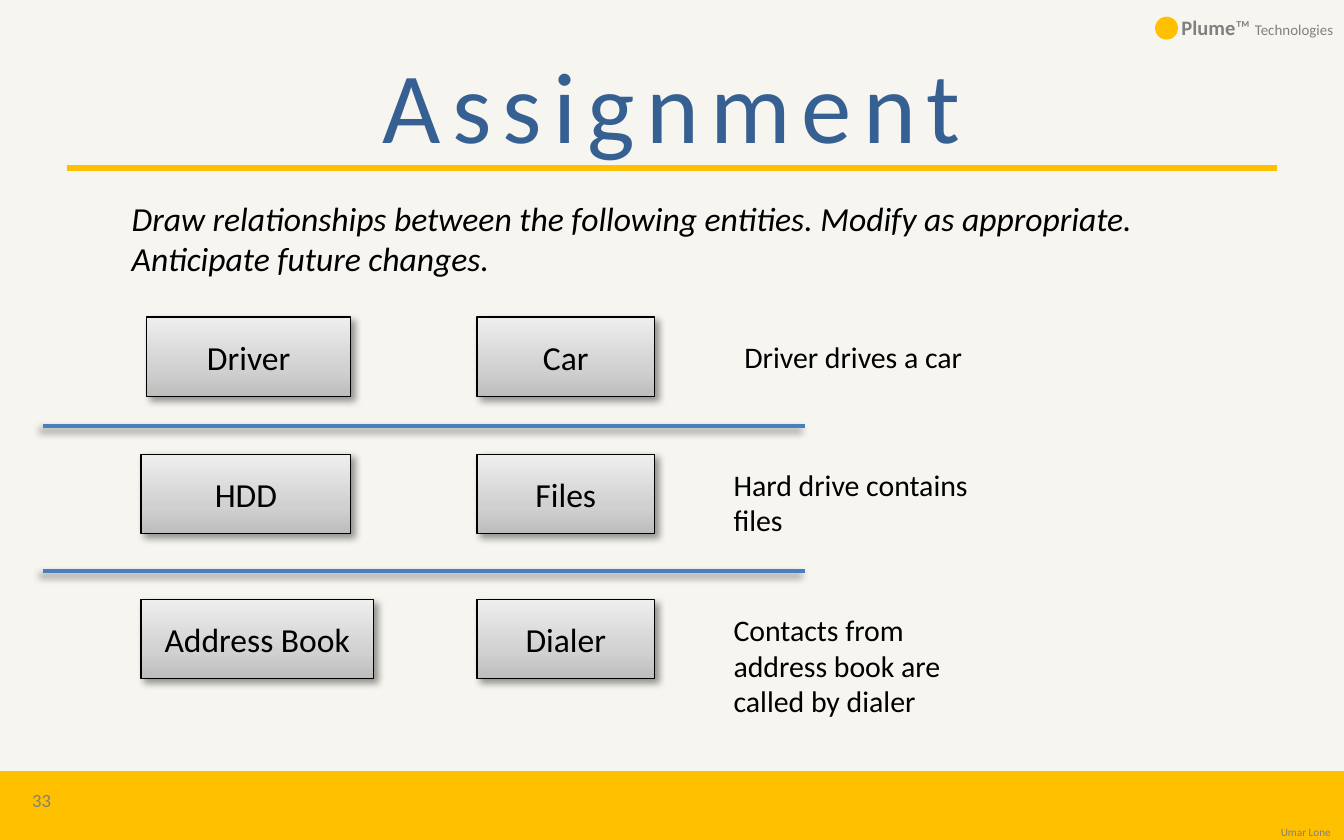
from lxml import etree
from pptx import Presentation
from pptx.dml.color import RGBColor
from pptx.enum.shapes import MSO_CONNECTOR, MSO_SHAPE
from pptx.enum.text import MSO_ANCHOR, MSO_AUTO_SIZE, PP_ALIGN
from pptx.oxml import parse_xml
from pptx.util import Inches, Pt

LEFT, CENTER, RIGHT = PP_ALIGN.LEFT, PP_ALIGN.CENTER, PP_ALIGN.RIGHT
TOP, MIDDLE, BOTTOM = MSO_ANCHOR.TOP, MSO_ANCHOR.MIDDLE, MSO_ANCHOR.BOTTOM
RECT, OVAL = MSO_SHAPE.RECTANGLE, MSO_SHAPE.OVAL
NO_AUTOFIT, STRAIGHT = MSO_AUTO_SIZE.NONE, MSO_CONNECTOR.STRAIGHT

CREAM = RGBColor(0xF6, 0xF5, 0xF0)
GOLD = RGBColor(0xFF, 0xC0, 0x00)
NAVY = RGBColor(0x37, 0x60, 0x92)
BLUE = RGBColor(0x4B, 0x7E, 0xBC)
GRAY = RGBColor(0x80, 0x80, 0x80)
BLACK = RGBColor(0x00, 0x00, 0x00)
GRADIENT = [
    (0, RGBColor(0xBD, 0xBD, 0xBD)),
    (35, RGBColor(0xD1, 0xD1, 0xD1)),
    (100, RGBColor(0xEE, 0xEE, 0xEE)),
]

FONT = "Calibri"
NS = "http://schemas.openxmlformats.org/drawingml/2006/main"
A = "{%s}" % NS

BOX_HEIGHT = 0.59
ENTITY_LEFT, TARGET_LEFT, TARGET_WIDTH = 1.05, 3.55, 1.32
ROWS = [
    (2.36, "Driver", 1.09, 1.52, "Car", "Driver drives a car", 5.44, 2.47, 0.37),
    (3.38, "HDD", ENTITY_LEFT, 1.56, "Files", "Hard drive contains files", 5.36, 3.42, 0.64),
    (4.46, "Address Book", ENTITY_LEFT, 1.73, "Dialer",
     "Contacts from address book are called by dialer", 5.36, 4.5, 0.91),
]


def inches(*values):
    return [Inches(v) for v in values]


def style(p, size, color, align=LEFT):
    p.alignment = align
    p.font.name = FONT
    p.font.size = Pt(size)
    p.font.color.rgb = color


def set_shadow(sp, angle=None):
    effects = etree.SubElement(sp._element.spPr, A + "effectLst")
    if angle is not None:
        effects.append(parse_xml(
            f'<a:outerShdw xmlns:a="{NS}" blurRad="{Pt(4)}" dist="{Pt(3)}" '
            f'dir="{angle * 60000}" algn="tl" rotWithShape="0">'
            '<a:srgbClr val="000000"><a:alpha val="40000"/></a:srgbClr></a:outerShdw>'))


def set_gradient(sp):
    stops = "".join(
        f'<a:gs pos="{pos * 1000}"><a:srgbClr val="{color}"/></a:gs>'
        for pos, color in GRADIENT)
    sp._element.spPr.find(A + "prstGeom").addnext(parse_xml(
        f'<a:gradFill xmlns:a="{NS}" rotWithShape="1"><a:gsLst>{stops}</a:gsLst>'
        '<a:lin ang="16200000" scaled="0"/></a:gradFill>'))


def add_plain_shape(s, kind, left, top, width, height, line_width):
    sp = s.shapes.add_shape(kind, *inches(left, top, width, height))
    sp.shadow.inherit = False
    sp.fill.solid()
    sp.fill.fore_color.rgb = GOLD
    sp.line.color.rgb = GOLD
    sp.line.width = Pt(line_width)


def add_entity(s, text, left, top, width):
    sp = s.shapes.add_shape(RECT, *inches(left, top, width, BOX_HEIGHT))
    set_gradient(sp)
    sp.line.color.rgb = BLACK
    sp.line.width = Pt(0.75)
    set_shadow(sp, 45)
    tf = sp.text_frame
    tf.vertical_anchor = MIDDLE
    tf.text = text
    style(tf.paragraphs[0], 18, BLACK, CENTER)


def add_rule(s, left, right, y, color, width, angle=None):
    line = s.shapes.add_connector(STRAIGHT, *inches(left, y, right, y))
    line.line.color.rgb = color
    line.line.width = Pt(width)
    set_shadow(line, angle)


def add_text(s, text, left, top, width, height, size, color, align=LEFT, anchor=TOP):
    tf = s.shapes.add_textbox(*inches(left, top, width, height)).text_frame
    tf.word_wrap = True
    tf.vertical_anchor = anchor
    p = tf.paragraphs[0]
    p.text = text
    style(p, size, color, align)
    return p


def fill_placeholder(sp, text, left, top, width, height, anchor, size, color, align):
    sp.left, sp.top, sp.width, sp.height = inches(left, top, width, height)
    tf = sp.text_frame
    tf.text = text
    tf.auto_size = NO_AUTOFIT
    tf.vertical_anchor = anchor
    p = tf.paragraphs[0]
    style(p, size, color, align)
    return p


def add_headings(s):
    p = fill_placeholder(s.shapes.title, "Assignment", 0.5, 0.25, 9, 1.04,
                         MIDDLE, 54, NAVY, CENTER)
    p.runs[0].font._element.set("spc", "600")
    p = fill_placeholder(
        s.placeholders[1],
        "Draw relationships between the following entities. "
        "Modify as appropriate. Anticipate future changes.",
        0.5, 1.42, 9, 0.86, TOP, 18, BLACK, LEFT)
    p.font.italic = True
    pPr = p._p.get_or_add_pPr()
    pPr.set("marL", str(Inches(0.38)))
    pPr.set("indent", "0")
    pPr.insert(0, etree.Element(A + "buNone"))
    p.space_before = Pt(3.6)


def add_brand(s):
    add_plain_shape(s, OVAL, 8.6, 0.13, 0.16, 0.16, 0.75)
    p = add_text(s, "Plume", 8.58, 0.01, 1.44, 0.38, 11, GRAY, RIGHT, MIDDLE)
    p.runs[0].font.bold = True
    p.add_run().text = "™ "
    r = p.add_run()
    r.text = "Technologies"
    r.font.size = Pt(8)


def main():
    prs = Presentation()
    prs.slide_width, prs.slide_height = inches(10, 6.25)
    s = prs.slides.add_slide(prs.slide_layouts[1])
    s.background.fill.solid()
    s.background.fill.fore_color.rgb = CREAM

    add_plain_shape(s, RECT, 0, 5.75, 10, 0.5, 2)
    add_rule(s, 0.5, 9.5, 1.25, GOLD, 3)
    add_text(s, "Umar Lone", 8.67, 6.12, 1.33, 0.17, 6, GRAY, RIGHT, BOTTOM)
    add_brand(s)
    add_headings(s)

    for top, entity, left, width, target, note, note_left, note_top, note_height in ROWS:
        add_entity(s, entity, left, top, width)
        add_entity(s, target, TARGET_LEFT, top, TARGET_WIDTH)
        add_text(s, note, note_left, note_top, 2.19, note_height, 16, BLACK)
    for y in (3.17, 4.25):
        add_rule(s, 0.32, 5.99, y, BLUE, 2.25, 135)

    add_text(s, "33", 0.03, 5.79, 0.56, 0.33, 10, GRAY, CENTER, MIDDLE)
    prs.save("out.pptx")


if __name__ == "__main__":
    main()
